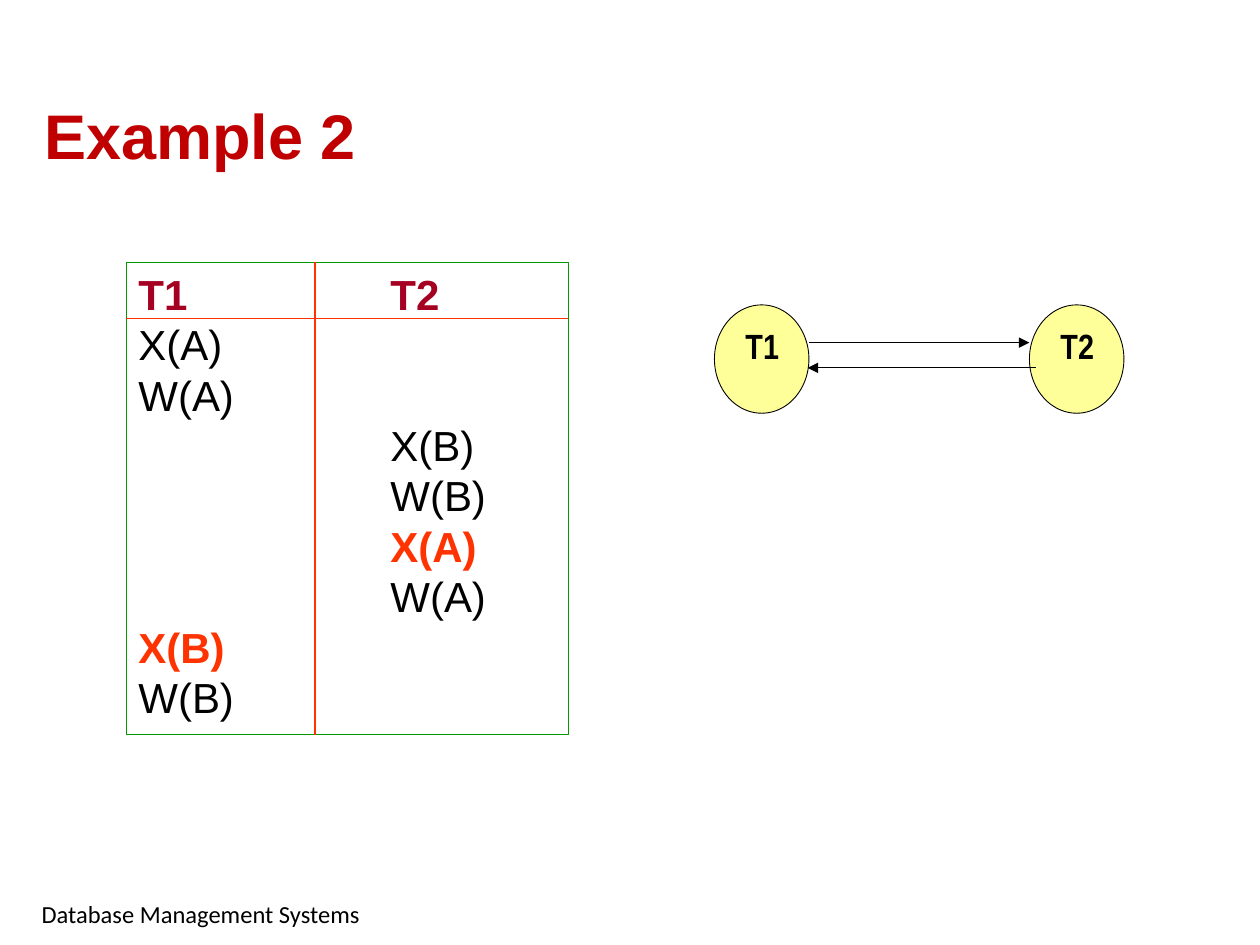
import pptx
import pptx.util
import pptx.dml.color
import pptx.enum.shapes
import pptx.enum.text
import pptx.oxml
import pptx.oxml.ns

Inches = pptx.util.Inches
Pt = pptx.util.Pt
SHAPES = pptx.enum.shapes.MSO_SHAPE
ANCHOR = pptx.enum.text.MSO_ANCHOR
ALIGN = pptx.enum.text.PP_ALIGN

TITLE = "Example 2"
FOOTER = "Database Management Systems"
BLACK, ORANGE, MAROON = "000000", "FF3300", "A50021"
SCHEDULE = [
    [("T1", MAROON), ("T2", MAROON)],
    [("X(A)", BLACK), None],
    [("W(A)", BLACK), None],
    [None, ("X(B)", BLACK)],
    [None, ("W(B)", BLACK)],
    [None, ("X(A)", ORANGE)],
    [None, ("W(A)", BLACK)],
    [("X(B)", ORANGE), None],
    [("W(B)", BLACK), None],
]
TABLE_LEFT, TABLE_TOP, TABLE_WIDTH, TABLE_HEIGHT = 1, 2.08, 3.51, 3.75
HEADER_BOTTOM, COLUMN_BREAK, TAB_SIZE = 2.53, 2.5, 1
NODES = ["T1", "T2"]
NODE_LEFT, NODE_TOP, NODE_WIDTH, NODE_HEIGHT, NODE_STEP = 5.67, 2.42, 0.75, 0.86, 2.5
ARROWS = [(8.22, 6.41, 2.92), (6.42, 8.17, 2.72)]


def color(value):
    return pptx.dml.color.RGBColor.from_string(value)


def add_run(paragraph, text, size, font, value, bold=False):
    run = paragraph.add_run()
    run.text = text
    run.font.size = Pt(size)
    run.font.name = font
    run.font.bold = bold
    run.font.color.rgb = color(value)


def set_margins(frame, left, top, right, bottom):
    frame.margin_left, frame.margin_top = Inches(left), Inches(top)
    frame.margin_right, frame.margin_bottom = Inches(right), Inches(bottom)


def add_box(slide, kind, left, top, width, height, fill, line):
    shape = slide.shapes.add_shape(
        kind, Inches(left), Inches(top), Inches(width), Inches(height))
    shape.shadow.inherit = False
    shape.fill.solid()
    shape.fill.fore_color.rgb = color(fill)
    shape.line.color.rgb = color(line)
    shape.line.width = Pt(0.5)
    shape.text_frame.vertical_anchor = ANCHOR.TOP
    return shape


def add_line(slide, start, end, value, width, arrow=False):
    connector = slide.shapes.add_connector(
        pptx.enum.shapes.MSO_CONNECTOR.STRAIGHT,
        *(Inches(length) for length in start + end))
    connector.line.color.rgb = color(value)
    connector.line.width = Pt(width)
    if arrow:
        head = pptx.oxml.parse_xml(
            f'<a:tailEnd {pptx.oxml.ns.nsdecls("a")} type="triangle"/>')
        connector.line._get_or_add_ln().append(head)
    properties = connector._element.spPr
    properties.append(pptx.oxml.parse_xml(
        f'<a:effectLst {pptx.oxml.ns.nsdecls("a")}/>'))


def add_title(slide):
    title = slide.shapes.title
    title.left, title.top = Inches(0.25), Inches(0.33)
    title.width, title.height = Inches(8.53), Inches(1.09)
    title.text_frame.vertical_anchor = ANCHOR.BOTTOM
    paragraph = title.text_frame.paragraphs[0]
    paragraph.alignment = ALIGN.LEFT
    add_run(paragraph, TITLE, 36, "Arial", "C00000", True)


def add_footer(slide):
    footer = slide.shapes.add_textbox(
        Inches(0.33), Inches(7.13), Inches(2.83), Inches(0.24))
    frame = footer.text_frame
    frame.word_wrap = True
    frame.vertical_anchor = ANCHOR.MIDDLE
    set_margins(frame, 0, 0, 0, 0)
    add_run(frame.paragraphs[0], FOOTER, 14, "Calibri", BLACK)


def add_schedule(slide):
    box = add_box(slide, SHAPES.RECTANGLE, TABLE_LEFT, TABLE_TOP,
                  TABLE_WIDTH, TABLE_HEIGHT, "FFFFFF", "009900")
    frame = box.text_frame
    set_margins(frame, 0.1, 0.05, 0.1, 0.05)
    for index, row in enumerate(SCHEDULE):
        paragraph = frame.add_paragraph() if index else frame.paragraphs[0]
        paragraph.alignment = ALIGN.LEFT
        paragraph._p.get_or_add_pPr().set("defTabSz", str(Inches(TAB_SIZE)))
        for column, cell in enumerate(row):
            if cell:
                text, value = cell
                add_run(paragraph, "\t\t" * column + text, 24, "Arial",
                        value, value != BLACK)
    add_line(slide, (TABLE_LEFT, HEADER_BOTTOM),
             (TABLE_LEFT + TABLE_WIDTH, HEADER_BOTTOM), ORANGE, 0.75)
    add_line(slide, (COLUMN_BREAK, TABLE_TOP),
             (COLUMN_BREAK, TABLE_TOP + TABLE_HEIGHT), ORANGE, 0.75)


def add_graph(slide):
    for index, name in enumerate(NODES):
        node = add_box(slide, SHAPES.OVAL, NODE_LEFT + index * NODE_STEP, NODE_TOP,
                       NODE_WIDTH, NODE_HEIGHT, "FFFF99", BLACK)
        set_margins(node.text_frame, 0.03, 0.03, 0.02, 0.02)
        paragraph = node.text_frame.paragraphs[0]
        paragraph.alignment = ALIGN.CENTER
        add_run(paragraph, name, 20, "Arial Narrow", BLACK, True)
    for start, end, height in ARROWS:
        add_line(slide, (start, height), (end, height), BLACK, 0.5, True)


def main():
    presentation = pptx.Presentation()
    presentation.slide_width, presentation.slide_height = Inches(10), Inches(7.5)
    slide = presentation.slides.add_slide(presentation.slide_layouts[5])
    add_title(slide)
    add_footer(slide)
    add_schedule(slide)
    add_graph(slide)
    presentation.save("out.pptx")


if __name__ == "__main__":
    main()
